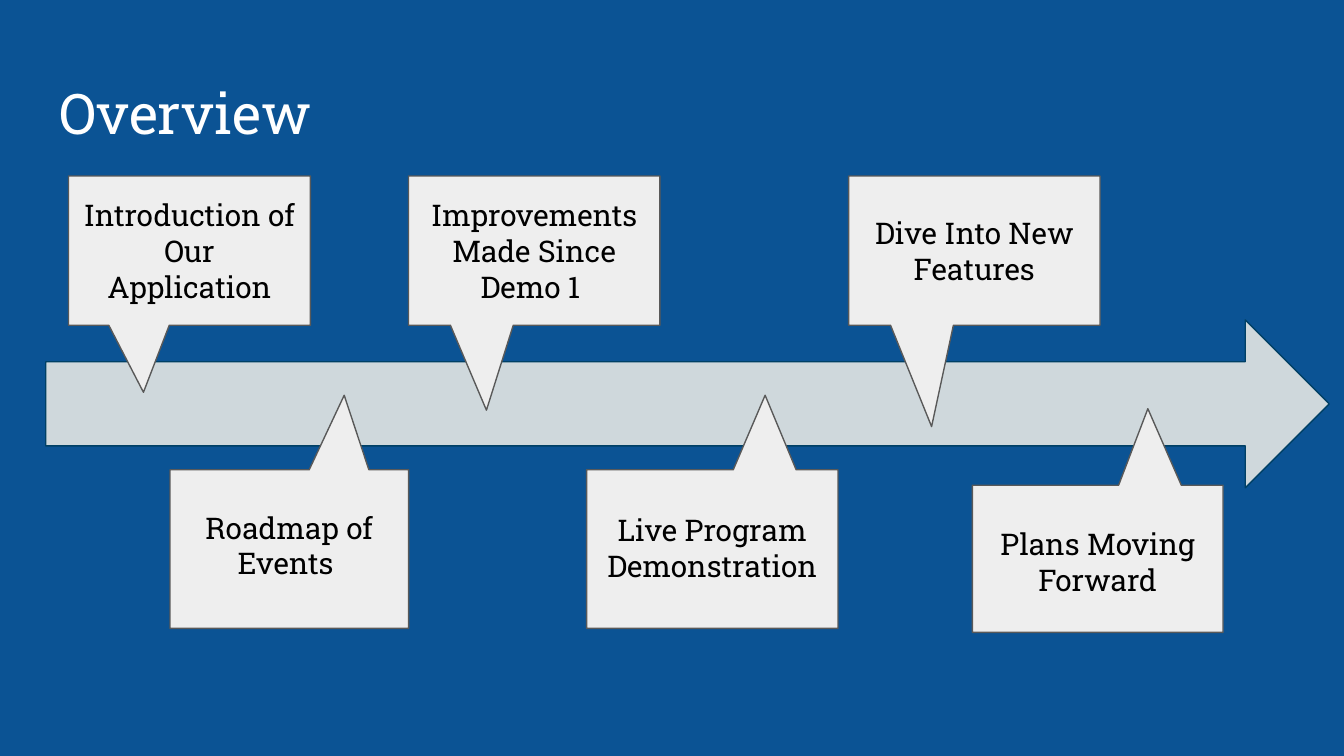
from pptx import Presentation
from pptx.dml.color import RGBColor
from pptx.enum.shapes import MSO_SHAPE
from pptx.enum.text import MSO_ANCHOR, PP_ALIGN
from pptx.util import Inches, Pt

ARROW = MSO_SHAPE.RIGHT_ARROW
CALLOUT = MSO_SHAPE.ROUNDED_RECTANGULAR_CALLOUT
TOP, MIDDLE = MSO_ANCHOR.TOP, MSO_ANCHOR.MIDDLE
LEFT, CENTER = PP_ALIGN.LEFT, PP_ALIGN.CENTER

# The slide is a grid of 100 columns by 56.25 rows
CELL = Inches(0.1)
COLUMNS, ROWS = 100, 56.25
FONT = "Roboto Slab"
BLUE, WHITE, BLACK = "0B5394", "FFFFFF", "000000"
ARROW_FILL, ARROW_LINE = "CFD8DC", "004065"
CALLOUT_FILL, CALLOUT_LINE = "EEEEEE", "595959"

TITLE_BOX = (3.45, 4.85, 93.2, 6.3)
ARROW_BOX = (3.4, 23.8, 95.5, 12.5)
UPPER_TOP, UPPER_HEIGHT = 13.1, 11.1

# Upper callouts: text, left, width, pointer x and y
UPPER_STEPS = [
    ("Introduction of Our Application", 5.1, 18, -0.19, 0.95),
    ("Improvements Made Since Demo 1 ", 30.4, 18.7, -0.19, 1.07),
    ("Dive Into New Features", 63.15, 18.7, -0.17, 1.18),
]
# Lower callouts: text, box, pointer x and y, label width, label drop
LOWER_STEPS = [
    ("Roadmap of Events ", (12.65, 34.95, 17.75, 11.8), -0.23, 0.97, 16.4, 1.95),
    ("Live Program Demonstration", (43.65, 34.95, 18.7, 11.8), -0.21, 0.97, 19.6, 2.15),
    ("Plans Moving Forward", (72.35, 36.1, 18.65, 10.95), -0.2, 1.02, 18.7, 2),
]


def color(value):
    return RGBColor.from_string(value)


def cells(box):
    return [round(length * CELL) for length in box]


def write(shape, text, size=16, ink=BLACK, align=CENTER, anchor=TOP):
    frame = shape.text_frame
    frame.word_wrap = True
    frame.vertical_anchor = anchor
    frame.margin_left = frame.margin_right = CELL
    frame.margin_top = frame.margin_bottom = CELL
    para = frame.paragraphs[0]
    para.alignment = align
    span = para.add_run()
    span.text = text
    span.font.name = FONT
    span.font.size = Pt(size)
    span.font.color.rgb = color(ink)


def add_label(page, box, text, **style):
    write(page.shapes.add_textbox(*cells(box)), text, **style)


def add_outlined(page, kind, box, fill, line, adjustments):
    shape = page.shapes.add_shape(kind, *cells(box))
    shape.shadow.inherit = False
    shape.fill.solid()
    shape.fill.fore_color.rgb = color(fill)
    shape.line.color.rgb = color(line)
    shape.line.width = Pt(0.75)
    for index, value in enumerate(adjustments):
        shape.adjustments[index] = value
    return shape


def add_callout(page, box, pointer_x, pointer_y):
    return add_outlined(page, CALLOUT, box, CALLOUT_FILL, CALLOUT_LINE,
                        (pointer_x, pointer_y, 0))


def add_upper_step(page, box, text, pointer_x, pointer_y):
    write(add_callout(page, box, pointer_x, pointer_y), text, anchor=MIDDLE)


def add_lower_step(page, box, text, pointer_x, pointer_y, label_width, drop):
    # The callout is turned to point up, so its upright text is a separate label
    add_callout(page, box, pointer_x, pointer_y).rotation = 180
    left, top, width, height = box
    label_left = left + (width - label_width) / 2
    add_label(page, (label_left, top + drop, label_width, height - drop), text)


def build_overview(page):
    page.background.fill.solid()
    page.background.fill.fore_color.rgb = color(BLUE)

    # Title and timeline arrow
    add_label(page, TITLE_BOX, "Overview", size=30, ink=WHITE, align=LEFT)
    add_outlined(page, ARROW, ARROW_BOX, ARROW_FILL, ARROW_LINE, (0.5, 0.5))

    # Steps above and below the arrow
    for text, left, width, pointer_x, pointer_y in UPPER_STEPS:
        box = (left, UPPER_TOP, width, UPPER_HEIGHT)
        add_upper_step(page, box, text, pointer_x, pointer_y)
    for text, box, *layout in LOWER_STEPS:
        add_lower_step(page, box, text, *layout)


def main():
    deck = Presentation()
    deck.slide_width, deck.slide_height = cells((COLUMNS, ROWS))
    build_overview(deck.slides.add_slide(deck.slide_layouts[6]))
    deck.save("out.pptx")


if __name__ == "__main__":
    main()
